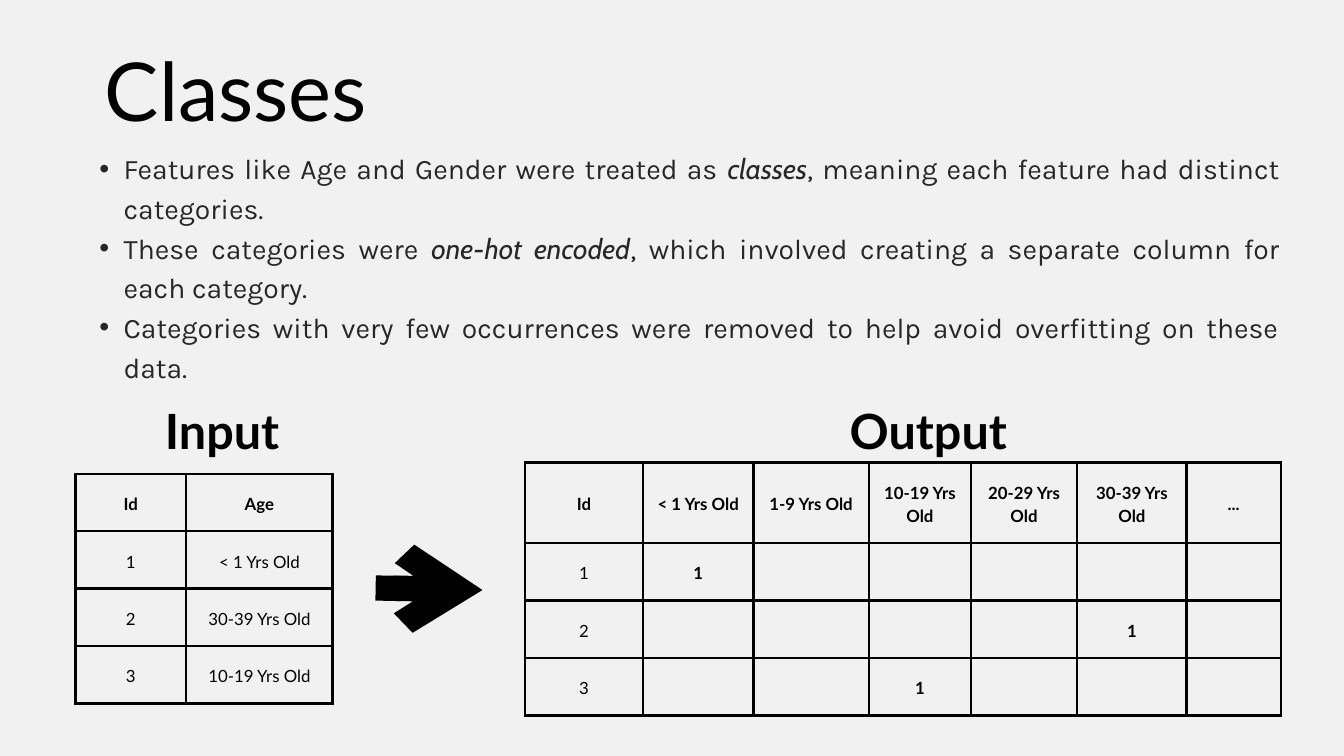
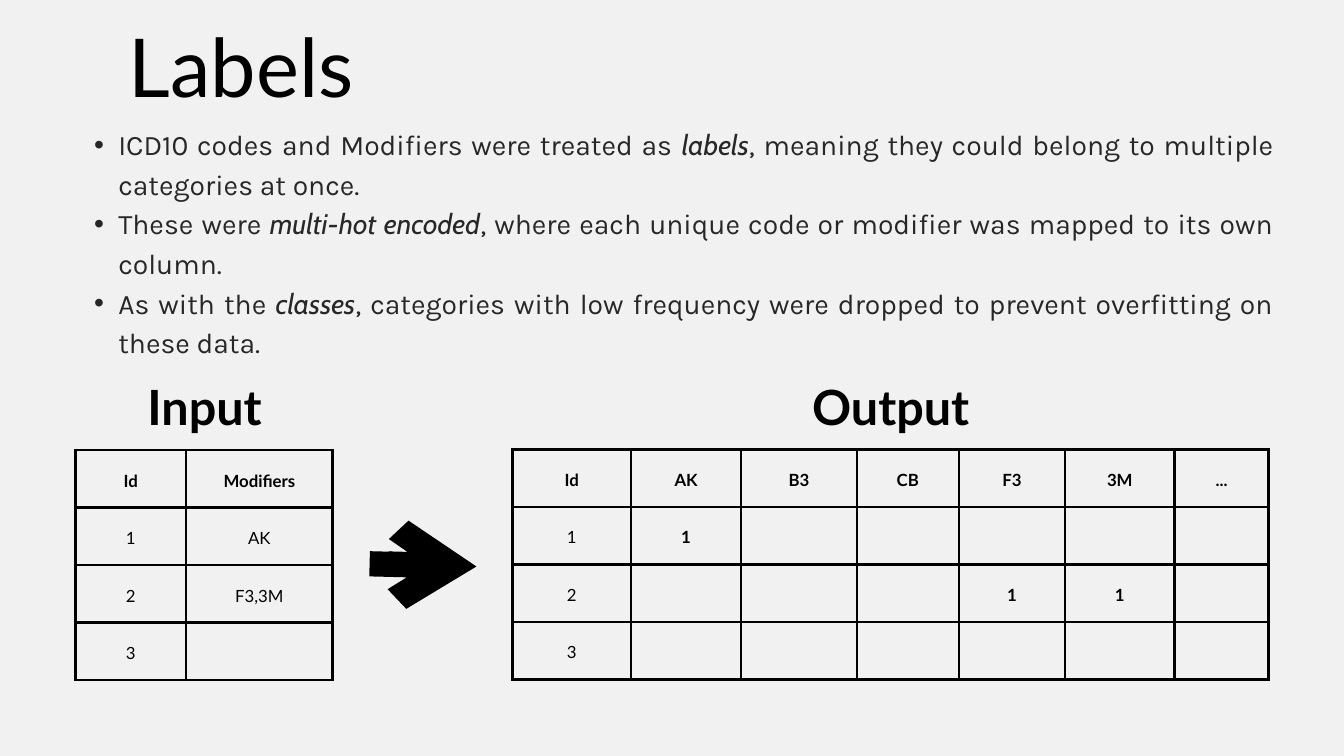
from dataclasses import dataclass

from lxml.etree import SubElement as Sub
from pptx import Presentation
from pptx.dml.color import RGBColor as RGB
from pptx.enum.shapes import MSO_CONNECTOR as Link
from pptx.enum.text import MSO_ANCHOR as Anchor, MSO_AUTO_SIZE as Auto, PP_ALIGN as Align
from pptx.oxml.ns import qn
from pptx.slide import Slide
from pptx.text.text import _Paragraph as Para
from pptx.util import Emu, Inches, Pt

# The slide is a grid of 20 columns and 11.25 rows.
WIDE, HIGH = Inches(20), Inches(11.25)
COL, ROW = WIDE / 20, HIGH / 11.25

INK = {"back": "F1F1F1", "black": "000000", "body": "272727"}
PAD = 0.21
LINE = 3.42 / 4
IN_COLS = (1.65, 2.18)
OUT_COLS = (1.76, 1.64, 1.72, 1.52, 1.58, 1.63, 1.4)


@dataclass(frozen=True)
class Box:
    x: float
    y: float
    w: float
    h: float


@dataclass(frozen=True)
class Font:
    face: str
    size: float
    ink: str = "black"
    bold: bool = False
    slant: bool = False


@dataclass(frozen=True)
class Grid:
    x: float
    y: float
    cols: tuple[float, ...]
    rows: tuple[tuple[str, ...], ...]
    top: float = LINE
    marks: bool = False  # entries after the first column are bold


@dataclass(frozen=True)
class Page:
    title: str
    head: Box
    align: Align
    list_box: Box
    points: tuple[str, ...]
    label_y: float
    label_x: tuple[float, float]
    arrow: tuple[float, float, float, float]
    grids: tuple[Grid, Grid]


TITLE = Font("Lato", 87)
LABEL = Font("Lato", 52, bold=True)
CELL = Font("Lato", 18)
STRONG = Font("Lato", 18, bold=True)
BODY = Font("Karla", 30.3, "body")
TERM = Font("Cabin", 30.3, "body", slant=True)

PAGES = (
    Page(
        "Classes", Box(1.56, 0.36, 4.78, 1.63), Align.JUSTIFY,
        Box(1.12, 2.17, 17.93, 3.5),
        (
            "Features like Age and Gender were treated as *classes*, "
            "meaning each feature had distinct categories.",
            "These categories were *one-hot encoded*, which involved "
            "creating a separate column for each category.",
            "Categories with very few occurrences were removed to help "
            "avoid overfitting on these data.",
        ),
        5.82, (0.64, 11.15), (5.59, 8.75, 7.18, 8.78),
        (
            Grid(1.12, 7.05, IN_COLS, (
                ("Id", "Age"), ("1", "< 1 Yrs Old"),
                ("2", "30-39 Yrs Old"), ("3", "10-19 Yrs Old"))),
            Grid(7.81, 6.88, OUT_COLS, (
                ("Id", "< 1 Yrs Old", "1-9 Yrs Old", "10-19 Yrs Old",
                 "20-29 Yrs Old", "30-39 Yrs Old", "..."),
                ("1", "1"), ("2", "", "", "", "", "1"),
                ("3", "", "", "1")), top=1.2, marks=True),
        ),
    ),
    Page(
        "Labels", Box(1.47, 0, 4.24, 1.63), Align.CENTER,
        Box(1.04, 1.81, 17.92, 3.5),
        (
            "ICD10 codes and Modifiers were treated as *labels*, "
            "meaning they could belong to multiple categories at once.",
            "These were *multi-hot encoded*, where each unique code or "
            "modifier was mapped to its own column.",
            "As with the *classes*, categories with low frequency were "
            "dropped to prevent overfitting on these data.",
        ),
        5.47, (0.38, 10.59), (5.5, 8.39, 7.09, 8.43),
        (
            Grid(1.12, 6.7, IN_COLS, (
                ("Id", "Modifiers"), ("1", "AK"), ("2", "F3,3M"), ("3",))),
            Grid(7.63, 6.69, OUT_COLS, (
                ("Id", "AK", "B3", "CB", "F3", "3M", "..."),
                ("1", "1"), ("2", "", "", "", "1", "1"), ("3",)),
                marks=True),
        ),
    ),
)


def across(n: float) -> Emu:
    return Emu(round(n * COL))


def down(n: float) -> Emu:
    return Emu(round(n * ROW))


def add_run(para: Para, text: str, font: Font) -> None:
    run = para.add_run()
    run.text = text
    run.font.name = font.face
    run.font.size = Pt(font.size)
    run.font.bold = font.bold
    run.font.italic = font.slant
    run.font.color.rgb = RGB.from_string(INK[font.ink])


def set_para(para: Para, align: Align, lead: float) -> None:
    para.alignment = align
    para.line_spacing = Pt(lead)


def add_box(slide: Slide, box: Box):
    """Add an empty text box without insets and return its text frame."""
    shape = slide.shapes.add_textbox(
        across(box.x), down(box.y), across(box.w), down(box.h))
    frame = shape.text_frame
    frame.word_wrap = True
    frame.auto_size = Auto.SHAPE_TO_FIT_TEXT
    frame.margin_left = frame.margin_right = 0
    frame.margin_top = frame.margin_bottom = 0
    return frame


def add_line(slide: Slide, box: Box, text: str, font: Font, align: Align) -> None:
    para = add_box(slide, box).paragraphs[0]
    set_para(para, align, font.size * 1.4)
    add_run(para, text, font)


def add_list(slide: Slide, box: Box, points: tuple[str, ...]) -> None:
    """Add bullets; words between asterisks are set as terms."""
    frame = add_box(slide, box)
    for n, point in enumerate(points):
        para = frame.add_paragraph() if n else frame.paragraphs[0]
        para.level = 1
        set_para(para, Align.JUSTIFY, 42.5)
        props = para._p.get_or_add_pPr()
        props.set("marL", str(across(0.72)))
        props.set("indent", str(across(-0.36)))
        Sub(props, qn("a:buFont"), typeface="Arial")
        Sub(props, qn("a:buChar"), char="•")
        for i, part in enumerate(point.split("*")):
            add_run(para, part, TERM if i % 2 else BODY)


def add_edges(cell) -> None:
    props = cell._tc.get_or_add_tcPr()
    for side in ("lnL", "lnR", "lnT", "lnB"):
        edge = Sub(props, qn(f"a:{side}"), w=str(Pt(3)))
        fill = Sub(edge, qn("a:solidFill"))
        Sub(fill, qn("a:srgbClr"), val=INK["black"])


def add_grid(slide: Slide, grid: Grid) -> None:
    highs = (grid.top,) + (LINE,) * (len(grid.rows) - 1)
    table = slide.shapes.add_table(
        len(highs), len(grid.cols), across(grid.x), down(grid.y),
        across(sum(grid.cols)), down(sum(highs))).table
    table.first_row = table.horz_banding = False
    for col, wide in zip(table.columns, grid.cols):
        col.width = across(wide)
    for r, (row, high) in enumerate(zip(table.rows, highs)):
        row.height = down(high)
        for c, cell in enumerate(row.cells):
            cell.margin_left = cell.margin_right = across(PAD)
            cell.margin_top = cell.margin_bottom = down(PAD)
            cell.vertical_anchor = Anchor.MIDDLE
            add_edges(cell)
            cell.fill.background()
            text = grid.rows[r][c] if c < len(grid.rows[r]) else ""
            if text:
                para = cell.text_frame.paragraphs[0]
                set_para(para, Align.CENTER, 25.2)
                bold = r == 0 or (grid.marks and c > 0)
                add_run(para, text, STRONG if bold else CELL)


def add_arrow(slide: Slide, ends: tuple[float, float, float, float]) -> None:
    x1, y1, x2, y2 = ends
    arrow = slide.shapes.add_connector(
        Link.STRAIGHT, across(x1), down(y1), across(x2), down(y2))
    arrow.line.color.rgb = RGB.from_string(INK["black"])
    arrow.line.width = Pt(27)
    Sub(arrow.line._get_or_add_ln(), qn("a:tailEnd"), type="arrow")
    Sub(arrow._element.spPr, qn("a:effectLst"))


def add_page(deck, page: Page) -> None:
    slide = deck.slides.add_slide(deck.slide_layouts[6])
    source, result = page.grids
    add_grid(slide, source)
    add_arrow(slide, page.arrow)
    add_grid(slide, result)
    add_line(slide, page.head, page.title, TITLE, page.align)
    for text, x in zip(("Input", "Output"), page.label_x):
        add_line(slide, Box(x, page.label_y, 5.33, 0.97), text, LABEL, Align.CENTER)
    add_list(slide, page.list_box, page.points)


def main() -> None:
    deck = Presentation()
    deck.slide_width, deck.slide_height = WIDE, HIGH
    back = deck.slide_master.background.fill
    back.solid()
    back.fore_color.rgb = RGB.from_string(INK["back"])
    for page in PAGES:
        add_page(deck, page)
    deck.save("out.pptx")


if __name__ == "__main__":
    main()
